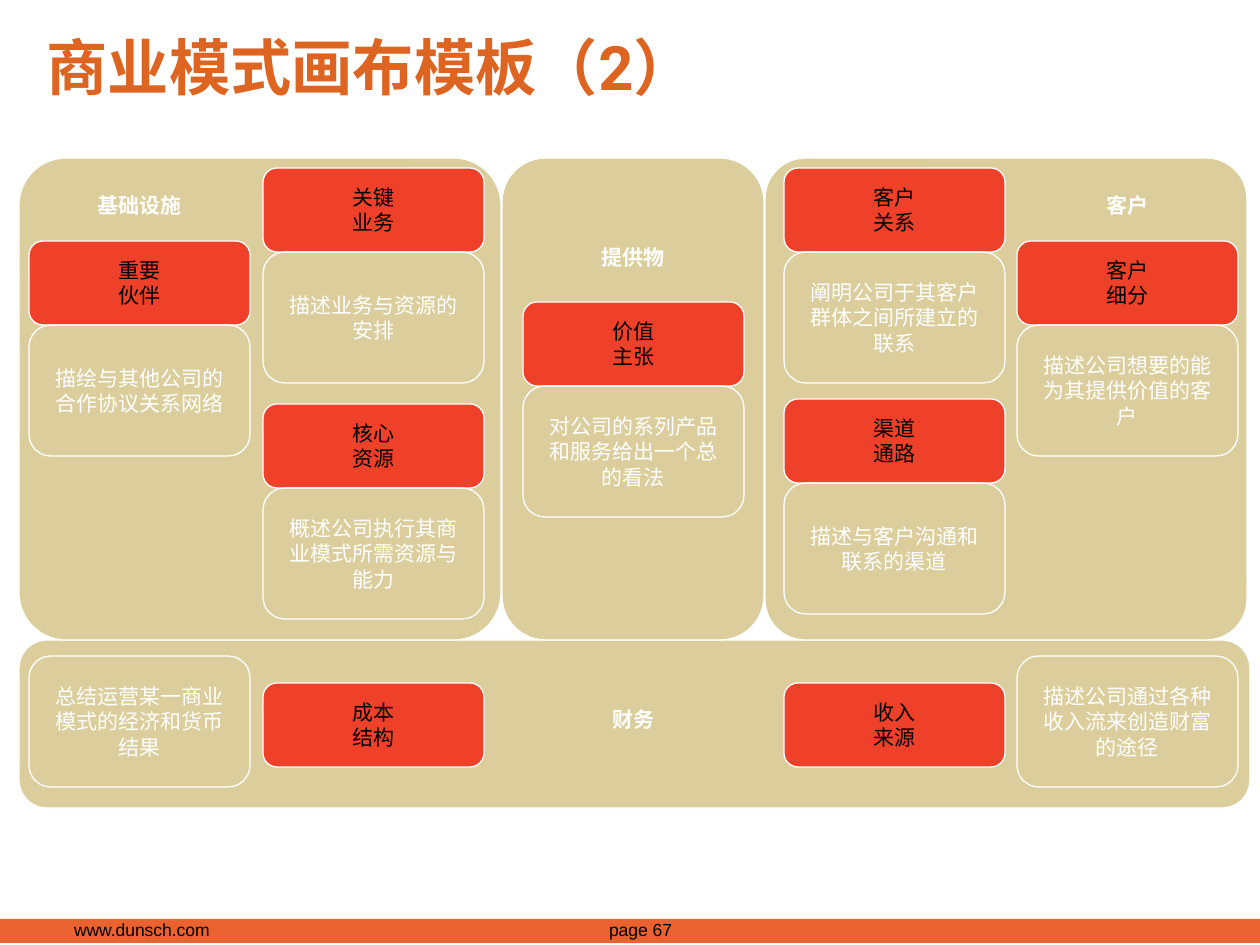
from typing import NamedTuple
from pptx import Presentation, util as u
from pptx.dml.color import RGBColor
from pptx.enum import shapes, text
from pptx.oxml import ns
from lxml import etree

EMU = 914400 / 126
HEX = {
    "sand": "DCCE9C",
    "red": "EF4129",
    "bar": "EA622F",
    "title": "DE6422",
    "white": "FFFFFF",
    "black": "000000",
}
CJK = "Noto Sans CJK SC"
COLS = (29, 263, 523, 784, 1017)
WIDE, HEAD, NOTE, LABEL = 221, 84, 131, 53


class Box(NamedTuple):
    x: int
    y: int
    w: int
    h: int


class Panel(NamedTuple):
    box: Box
    adj: float


class Block(NamedTuple):
    col: int
    top: int
    name: tuple[str, str]
    note: str
    side: int | None = None


class Label(NamedTuple):
    col: int
    top: int
    name: str


PANELS = (
    Panel(Box(19, 640, 1231, 168), 0.167),
    Panel(Box(765, 158, 482, 482), 0.084),
    Panel(Box(502, 158, 262, 482), 0.167),
    Panel(Box(19, 158, 482, 482), 0.098),
)
BLOCKS = (
    Block(0, 241, ("重要", "伙伴"), "描绘与其他公司的合作协议关系网络"),
    Block(1, 168, ("关键", "业务"), "描述业务与资源的安排"),
    Block(1, 404, ("核心", "资源"), "概述公司执行其商业模式所需资源与能力"),
    Block(2, 302, ("价值", "主张"), "对公司的系列产品和服务给出一个总的看法"),
    Block(3, 168, ("客户", "关系"), "阐明公司于其客户群体之间所建立的联系"),
    Block(3, 399, ("渠道", "通路"), "描述与客户沟通和联系的渠道"),
    Block(4, 241, ("客户", "细分"), "描述公司想要的能为其提供价值的客户"),
    Block(1, 683, ("成本", "结构"), "总结运营某一商业模式的经济和货币结果", 0),
    Block(3, 683, ("收入", "来源"), "描述公司通过各种收入流来创造财富的途径", 4),
)
LABELS = (
    Label(0, 179, "基础设施"),
    Label(4, 179, "客户"),
    Label(2, 231, "提供物"),
    Label(2, 693, "财务"),
)


def rgb(key: str) -> RGBColor:
    return RGBColor.from_string(HEX[key])


def place(box: Box) -> list[int]:
    return [round(n * EMU) for n in box]


def write(frame, lines, size, font, color, align, bold=False, east=CJK) -> None:
    for i, line in enumerate(lines):
        para = frame.paragraphs[0] if i == 0 else frame.add_paragraph()
        para.alignment = align
        run = para.add_run()
        run.text = line
        run.font.size = u.Pt(size)
        run.font.name = font
        run.font.bold = bold
        run.font.color.rgb = rgb(color)
        face = etree.SubElement(run.font._element, ns.qn("a:ea"))
        face.set("typeface", east)


def draw(slide, box: Box, fill=None, line=None, adj=0.167,
         kind=shapes.MSO_SHAPE.ROUNDED_RECTANGLE):
    shape = slide.shapes.add_shape(kind, *place(box))
    shape.shadow.inherit = False
    if fill:
        shape.fill.solid()
        shape.fill.fore_color.rgb = rgb(fill)
    else:
        shape.fill.background()
    if line:
        shape.line.color.rgb = rgb(line)
        shape.line.width = u.Pt(0.75)
    else:
        shape.line.fill.background()
    if len(shape.adjustments):
        shape.adjustments[0] = adj
    return shape


def fill_in(shape, lines, color, wrap=False, bold=False) -> None:
    frame = shape.text_frame
    frame.word_wrap = wrap
    frame.vertical_anchor = text.MSO_ANCHOR.MIDDLE
    write(frame, lines, 12, CJK, color, text.PP_ALIGN.CENTER, bold)


def foot(slide, box: Box, line: str, align) -> None:
    frame = slide.shapes.add_textbox(*place(box)).text_frame
    frame.word_wrap = True
    frame.margin_left = frame.margin_right = 0
    frame.margin_top = frame.margin_bottom = 0
    write(frame, [line], 10, "Arial", "black", align)


def head(slide) -> None:
    title = slide.shapes.title
    title.left, title.top, title.width, title.height = place(Box(34, 6, 1181, 120))
    frame = title.text_frame
    frame.word_wrap = True
    frame.vertical_anchor = text.MSO_ANCHOR.MIDDLE
    write(frame, ["商业模式画布模板（2）"], 35, "Roboto", "title",
          text.PP_ALIGN.LEFT, True)


def block(slide, item: Block) -> None:
    tile = Box(COLS[item.col], item.top, WIDE, HEAD)
    fill_in(draw(slide, tile, "red", "white"), item.name, "black")
    if item.side is None:
        box = Box(tile.x, item.top + HEAD, WIDE, NOTE)
    else:
        mid = item.top + (HEAD - NOTE) // 2 - 3
        box = Box(COLS[item.side], mid, WIDE, NOTE)
    fill_in(draw(slide, box, line="white"), [item.note], "white", wrap=True)


def main() -> None:
    deck = Presentation()
    deck.slide_width, deck.slide_height = u.Inches(10), u.Inches(7.5)
    slide = deck.slides.add_slide(deck.slide_layouts[5])
    draw(slide, Box(0, 919, 1260, 24), "bar", kind=shapes.MSO_SHAPE.RECTANGLE)
    foot(slide, Box(583, 919, 89, 28), "page 67", text.PP_ALIGN.RIGHT)
    foot(slide, Box(74, 919, 169, 21), "www.dunsch.com", text.PP_ALIGN.LEFT)
    head(slide)
    for panel in PANELS:
        draw(slide, panel.box, "sand", "white", panel.adj)
    for item in BLOCKS:
        block(slide, item)
    for label in LABELS:
        shape = draw(slide, Box(COLS[label.col], label.top, WIDE, LABEL))
        fill_in(shape, [label.name], "white", bold=True)
    deck.save("out.pptx")


if __name__ == "__main__":
    main()
